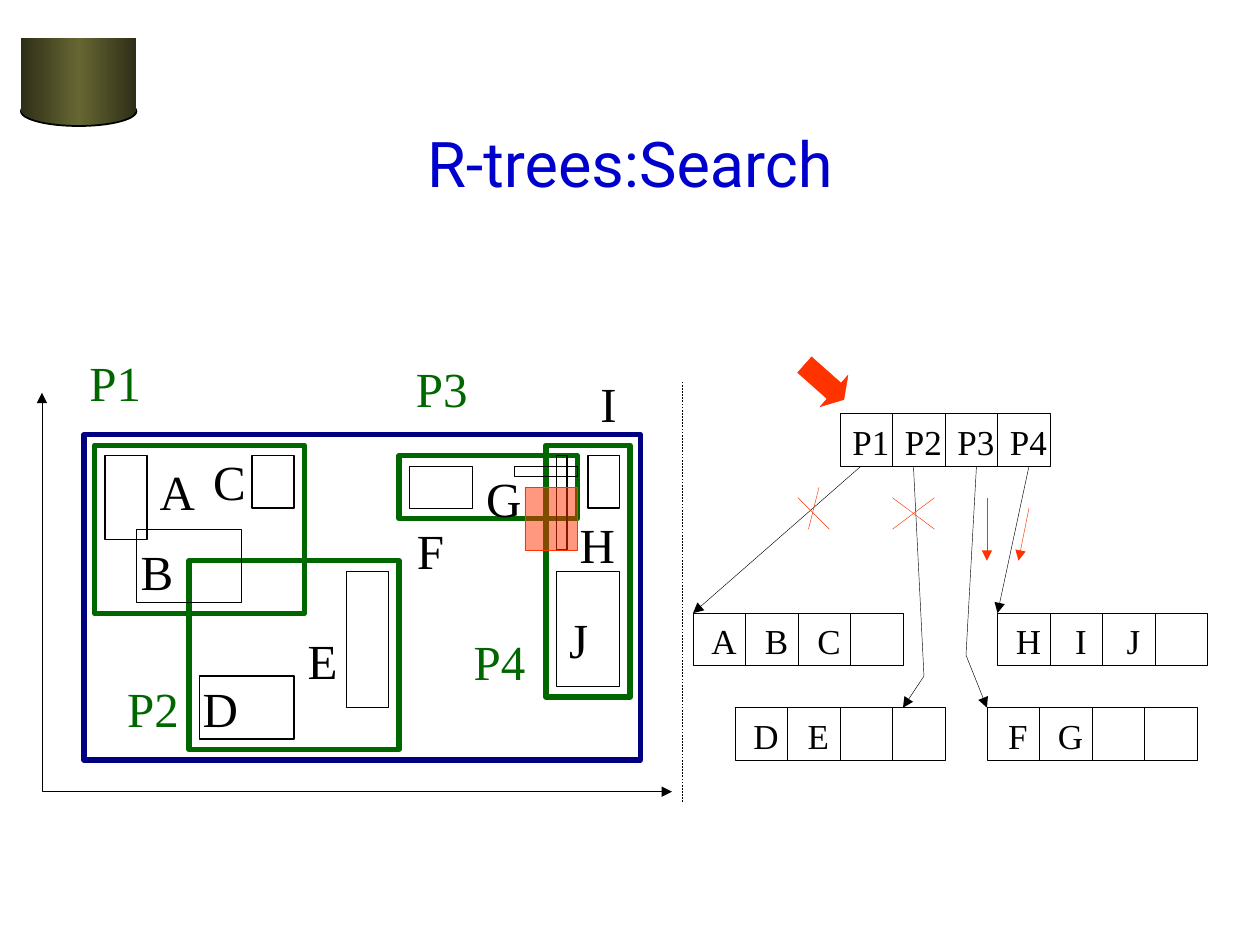
from copy import deepcopy
from dataclasses import dataclass
from typing import Any

from lxml.etree import SubElement
from pptx import Presentation
from pptx.dml.color import RGBColor
from pptx.enum.dml import MSO_LINE
from pptx.enum.shapes import MSO_CONNECTOR as Connector, MSO_SHAPE as Shape
from pptx.enum.text import MSO_ANCHOR as Anchor, MSO_AUTO_SIZE as AutoSize, PP_ALIGN as Align
from pptx.oxml.ns import qn
from pptx.util import Pt

SCALE = 7620
PX_PER_POINT = 120 / 72


@dataclass(frozen=True)
class Theme:
    title: str = "0000CC"
    ink: str = "000000"
    region: str = "006600"
    root: str = "000080"
    query: str = "FF3300"
    shade: str = "2F2F18"
    shine: str = "666633"
    title_font: str = "Roboto"
    body_font: str = "Times New Roman"
    title_size: int = 36
    label_size: int = 28
    cell_size: int = 20
    hairline: float = 0.25
    thin: float = 0.75
    outline: float = 1
    thick: float = 3


THEME = Theme()
LETTER_WIDTHS = {"A": 0.72, "B": 0.67, "C": 0.67, "D": 0.72, "E": 0.61, "F": 0.56, "G": 0.72,
                 "H": 0.72, "I": 0.33, "J": 0.39, "P": 0.56}


@dataclass(frozen=True)
class Area:
    shapes: Any
    left: int
    top: int

    def point(self, x, y):
        return round((self.left + x) * SCALE), round((self.top + y) * SCALE)

    def group(self):
        return Area(self.shapes.add_group_shape().shapes, self.left, self.top)


def apply(target, values):
    for name, value in values.items():
        setattr(target, name, value)


def color(value):
    return RGBColor.from_string(value)


def style_line(line, tint, width, ends=()):
    line.fill.solid()
    line.fill.fore_color.rgb = color(tint)
    line.width = Pt(width)
    for end in ends:
        SubElement(line._get_or_add_ln(), qn(f"a:{end}")).set("type", "triangle")


def add_figure(area, box, tint=None, width=THEME.thin, kind=Shape.RECTANGLE):
    x, y, wide, high = box
    shape = area.shapes.add_shape(kind, *area.point(x, y), wide * SCALE, high * SCALE)
    shape.shadow.inherit = False
    shape.fill.background()
    if tint:
        style_line(shape.line, tint, width)
    else:
        shape.line.fill.background()
    return shape


def add_line(area, start, end, tint=THEME.ink, ends=()):
    line = area.shapes.add_connector(Connector.STRAIGHT, *area.point(*start), *area.point(*end))
    style_line(line.line, tint, THEME.hairline, ends)
    SubElement(line._element.spPr, qn("a:effectLst"))
    return line


def add_path(area, points, ends):
    first, *rest = [(area.left + x, area.top + y) for x, y in points]
    builder = area.shapes.build_freeform(*first, scale=SCALE)
    builder.add_line_segments(rest, close=False)
    path = builder.convert_to_shape()
    path.shadow.inherit = False
    path.fill.background()
    style_line(path.line, THEME.ink, THEME.hairline, ends)


def write(frame, text, font, size, tint):
    frame.vertical_anchor = Anchor.MIDDLE
    para = frame.paragraphs[0]
    para.alignment = Align.CENTER
    span = para.add_run()
    span.text = text
    apply(span.font, {"name": font, "size": Pt(size), "bold": False})
    span.font.color.rgb = color(tint)


def label_size(text, size):
    em = size * PX_PER_POINT
    return sum(LETTER_WIDTHS.get(letter, 0.5) for letter in text) * em + 24, 1.2 * em + 12


def add_label(area, text, x, y, size=THEME.label_size, tint=THEME.ink):
    wide, high = label_size(text, size)
    box = area.shapes.add_textbox(*area.point(x, y), round(wide * SCALE), round(high * SCALE))
    apply(box.text_frame, {"word_wrap": False, "auto_size": AutoSize.SHAPE_TO_FIT_TEXT})
    write(box.text_frame, text, THEME.body_font, size, tint)


def shade_metal(fill):
    fill.gradient()
    fill.gradient_angle = 0
    first = fill.gradient_stops[0]._gs
    first.addnext(deepcopy(first))
    for stop, place, tint in zip(fill.gradient_stops, (0, 0.5, 1),
                                 (THEME.shade, THEME.shine, THEME.shade)):
        stop.position = place
        stop.color.rgb = color(tint)


def add_cylinder(area):
    drum = area.group()
    base = add_figure(drum, (0, 56, 110, 28), THEME.ink, THEME.outline, Shape.OVAL)
    body = add_figure(drum, (0, 0, 110, 71))
    for part in (base, body):
        shade_metal(part.fill)


def add_title(page, area):
    title = page.shapes.title
    left, top = area.point(0, 0)
    apply(title, {"left": left, "top": top, "width": 1020 * SCALE, "height": 150 * SCALE})
    write(title.text_frame, "R-trees:Search", THEME.title_font, THEME.title_size, THEME.title)


def add_map(area):
    regions = [(50, 50, 200, 160), (480, 50, 80, 240), (140, 160, 200, 180), (340, 60, 170, 60)]
    objects = [(60, 60, 40, 80), (200, 60, 40, 50), (90, 130, 100, 70), (150, 270, 90, 60),
               (290, 170, 40, 130), (350, 70, 60, 40), (490, 170, 60, 110), (520, 60, 30, 50),
               (450, 70, 60, 10), (490, 60, 10, 90)]
    object_labels = {"A": (100, 60), "B": (82, 136), "C": (151, 50), "D": (141, 266),
                     "E": (241, 220), "F": (345, 116), "G": (411, 66), "H": (500, 110),
                     "I": (520, -24), "J": (490, 200)}
    region_labels = {"P1": (33, -44), "P2": (69, 266), "P3": (344, -39), "P4": (399, 221)}
    for boxes, tint, width in ((regions, THEME.region, THEME.thick),
                               (objects, THEME.ink, THEME.thin),
                               ([(40, 40, 530, 310)], THEME.root, THEME.thick)):
        for box in boxes:
            add_figure(area, box, tint, width)
    add_path(area, [(0, 0), (0, 380), (600, 380)], ("headEnd", "tailEnd"))
    for labels, tint in ((object_labels, THEME.ink), (region_labels, THEME.region)):
        for text, place in labels.items():
            add_label(area, text, *place, tint=tint)
    query = add_figure(area, (460, 90, 50, 60), THEME.query, THEME.hairline)
    query.fill.solid()
    query.fill.fore_color.rgb = color(THEME.query)
    tint = query.fill._xPr.find(qn("a:solidFill"))[0]
    SubElement(tint, qn("a:alpha")).set("val", "50000")


def add_node(area, x, y, entries, cell=50, slots=4):
    node = area.group()
    for slot in range(slots):
        add_figure(node, (x + slot * cell, y, cell, cell), THEME.ink, THEME.hairline)
    for slot, text in enumerate(entries):
        wide, _ = label_size(text, THEME.cell_size)
        center = x + (slot + 0.5) * cell + 4.5
        add_label(node, text, center - wide / 2, y, THEME.cell_size)


def add_tree(area):
    nodes = [(150, 30, ("P1", "P2", "P3", "P4")), (290, 310, "FG"), (50, 310, "DE"),
             (300, 220, "HIJ"), (10, 220, "ABC")]
    for node in nodes:
        add_node(area, *node)
    add_line(area, (0, 400), (0, 0)).line.dash_style = MSO_LINE.DASH
    for start, end in (((170, 80), (10, 220)), ((330, 80), (300, 220))):
        add_line(area, start, end, ends=("tailEnd",))
    for bend in ([(220, 80), (230, 280), (210, 310)], [(280, 80), (270, 260), (290, 310)]):
        add_path(area, bend, ("tailEnd",))
    entry = add_figure(area, (110, -20, 50, 40), THEME.query, THEME.hairline, Shape.RIGHT_ARROW)
    entry.rotation = 41.6
    entry.adjustments[1] = 0.31
    entry.fill.solid()
    entry.fill.fore_color.rgb = color(THEME.query)
    crosses = [((110, 110), (140, 140)), ((130, 100), (120, 140)),
               ((240, 110), (200, 140)), ((200, 110), (240, 140))]
    visits = [((290, 110), (290, 170)), ((330, 120), (320, 170))]
    for strokes, ends in ((crosses, ()), (visits, ("tailEnd",))):
        for start, end in strokes:
            add_line(area, start, end, THEME.query, ends)


def main():
    deck = Presentation()
    apply(deck, {"slide_width": 1200 * SCALE, "slide_height": 900 * SCALE})
    page = deck.slides.add_slide(deck.slide_layouts[5])
    add_cylinder(Area(page.shapes, 20, 36))
    add_title(page, Area(page.shapes, 90, 80))
    add_map(Area(page.shapes, 40, 374))
    add_tree(Area(page.shapes, 650, 364))
    deck.save("out.pptx")


if __name__ == "__main__":
    main()
